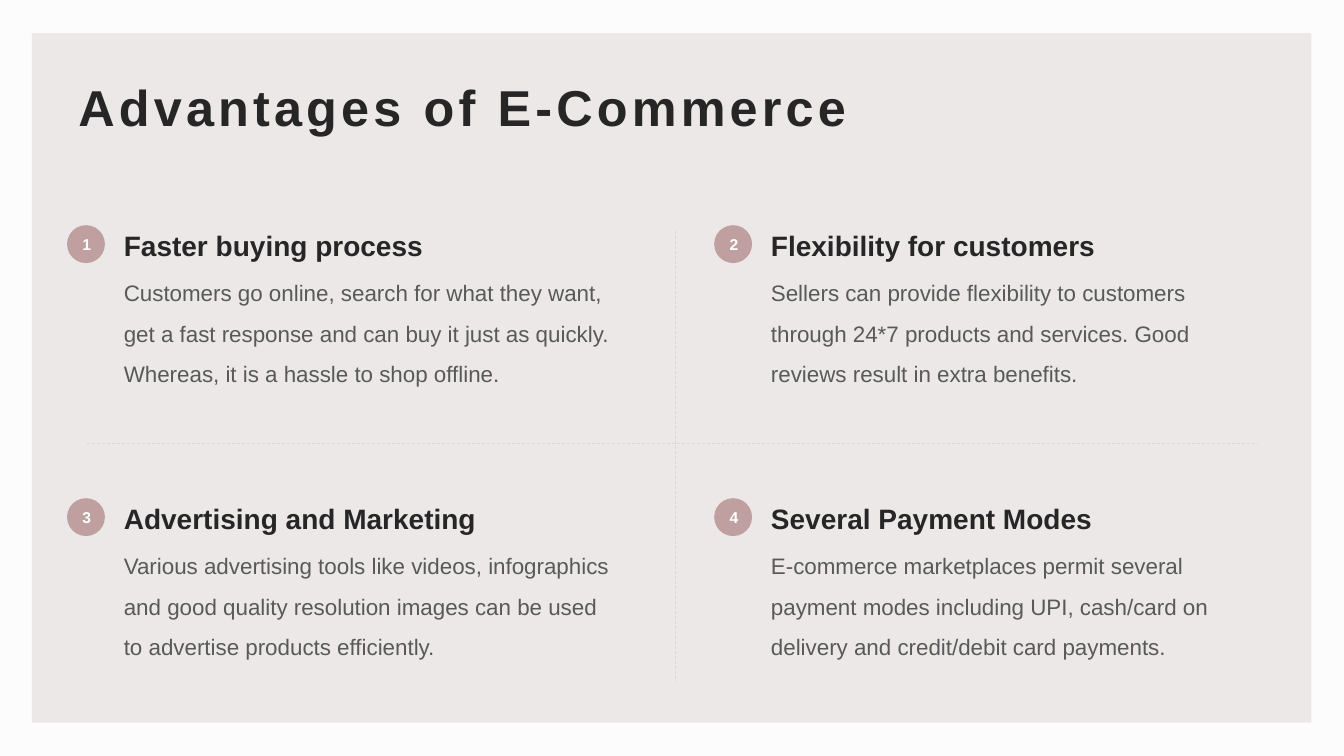
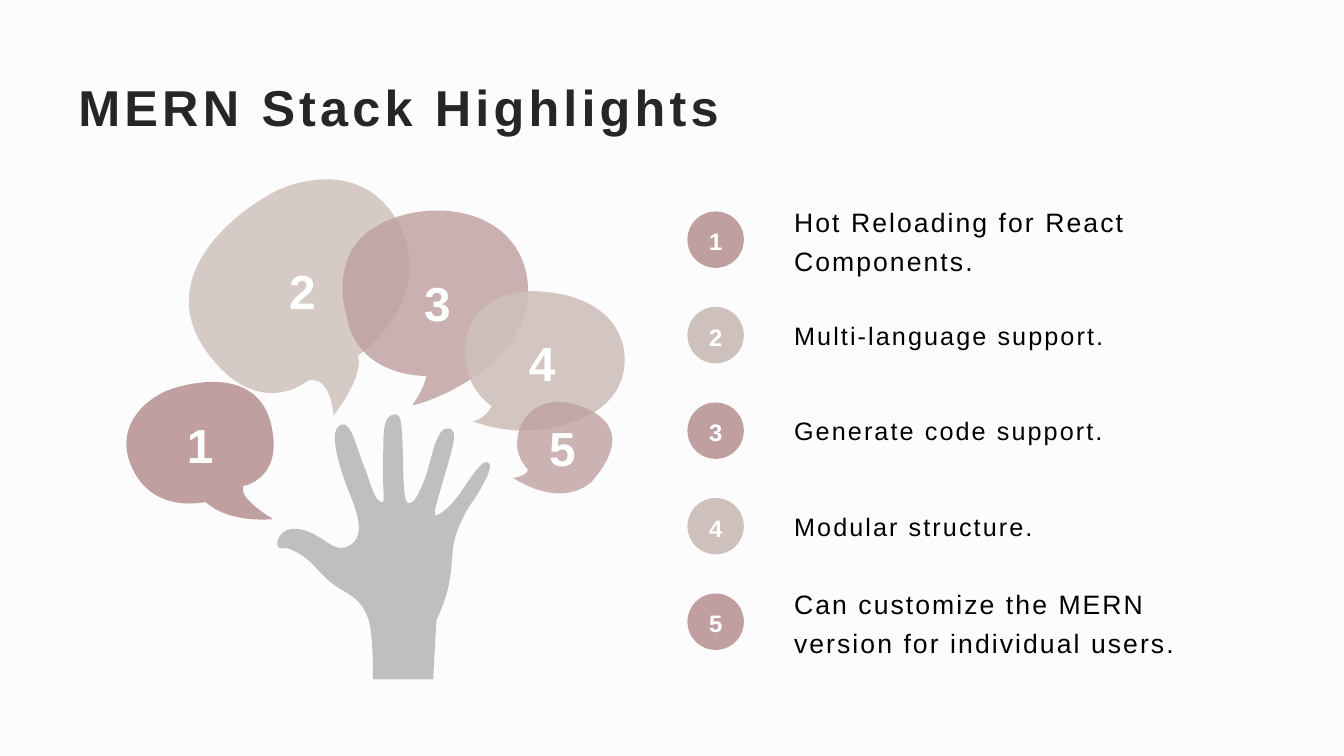
from pptx import Presentation
from pptx.dml.color import RGBColor
from pptx.enum.dml import MSO_LINE
from pptx.enum.shapes import MSO_CONNECTOR, MSO_SHAPE
from pptx.enum.text import MSO_ANCHOR, MSO_AUTO_SIZE, PP_ALIGN
from pptx.oxml.ns import qn
from pptx.oxml.xmlchemy import OxmlElement
from pptx.util import Pt

RECT, OVAL = MSO_SHAPE.RECTANGLE, MSO_SHAPE.OVAL
STRAIGHT, DASH = MSO_CONNECTOR.STRAIGHT, MSO_LINE.DASH
TOP, MIDDLE = MSO_ANCHOR.TOP, MSO_ANCHOR.MIDDLE
LEFT, CENTER = PP_ALIGN.LEFT, PP_ALIGN.CENTER

PX = 9144  # EMU in one px, 100 px to the inch
FONT = "Arial"
PAPER, PANEL, RULE = "FDFCFC", "ECE8E8", "D9D9D9"
ROSE, SAND, GREY = "BF9F9F", "CEC0BC", "BFBFBF"
INK, BODY, BLACK, WHITE = "262626", "595959", "000000", "FFFFFF"
TITLE_BOX = (66.7, 67, 1200, 77)

ADVANTAGES = [
    ("Faster buying process",
     "Customers go online, search for what they want, get a fast response "
     "and can buy it just as quickly. Whereas, it is a hassle to shop offline."),
    ("Flexibility for customers",
     "Sellers can provide flexibility to customers through 24*7 products "
     "and services. Good reviews result in extra benefits."),
    ("Advertising and Marketing",
     "Various advertising tools like videos, infographics and good quality "
     "resolution images can be used to advertise products efficiently."),
    ("Several Payment Modes",
     "E-commerce marketplaces permit several payment modes including UPI, "
     "cash/card on delivery and credit/debit card payments."),
]
DIVIDERS = [(86, 440, 1247, 440), (670, 229, 670, 676)]

# Text size and line spacing of highlights on one line and on two
ONE_LINE, TWO_LINES = (18, 1.1), (19, 1.2)
HIGHLIGHTS = [
    ("Hot Reloading for React Components.", TWO_LINES),
    ("Multi-language support.", ONE_LINE),
    ("Generate code support.", ONE_LINE),
    ("Modular structure.", ONE_LINE),
    ("Can customize the MERN version for individual users.", TWO_LINES),
]

# Outlines: a start point, then lines (x, y) and cubic curves (x1, y1, x2, y2, x, y)
HAND_BOX = (275, 411, 211, 263)
HAND = [
    (392, 411), (398, 411, 399, 419, 400, 459), (400, 486, 402, 499, 405, 499),
    (411, 500, 415, 491, 422, 474), (428, 456, 433, 423, 445, 425),
    (455, 427, 450, 441, 441, 472), (436, 490, 429, 511, 432, 511),
    (435, 512, 445, 505, 456, 490), (466, 476, 481, 450, 486, 461),
    (488, 467, 476, 487, 470, 496), (464, 504, 454, 521, 450, 540),
    (447, 559, 450, 581, 433, 615), (433, 615, 432, 635, 430, 669),
    (430, 674), (370, 674), (370, 665),
    (370, 665, 370, 625, 365, 613), (360, 600, 355, 594, 337, 584),
    (319, 573, 313, 560, 301, 552), (289, 544, 283, 543, 279, 544),
    (276, 546, 272, 538, 279, 530), (286, 522, 300, 523, 315, 532),
    (330, 541, 338, 550, 351, 538), (360, 529, 356, 512, 347, 490),
    (338, 468, 327, 433, 335, 424), (346, 412, 352, 438, 359, 457),
    (367, 476, 372, 501, 380, 498), (382, 497, 379, 476, 380, 456),
    (381, 435, 378, 412, 392, 411),
]
# Fill, opacity in percent, left and top of the number, box, outline
BUBBLES = [
    (ROSE, 100, (170.5, 407), (125, 379, 146, 136), [
        (242, 482), (242, 482, 232, 491, 271, 515), (271, 515, 228, 520, 204, 498),
        (204, 498, 155, 510, 133, 468), (110, 425, 144, 395, 170, 386),
        (197, 377, 256, 367, 269, 421), (282, 475, 242, 482, 242, 482)]),
    (SAND, 82, (272, 254.5), (187, 178, 219, 235), [
        (305, 378), (305, 378, 326, 368, 331, 412), (331, 412, 362, 373, 355, 353),
        (355, 353, 428, 302, 400, 232), (372, 162, 301, 172, 264, 195),
        (226, 217, 154, 278, 205, 349), (256, 419, 305, 378, 305, 378)]),
    (ROSE, 81, (406, 266.5), (340, 209, 184, 193), [
        (344, 314), (344, 314, 323, 251, 376, 223), (429, 194, 520, 207, 524, 286),
        (527, 365, 418, 402, 409, 402), (409, 402, 421, 386, 423, 373),
        (423, 373, 355, 375, 344, 314)]),
    (SAND, 90, (510, 326), (461, 289, 159, 138), [
        (567, 419), (567, 419, 604, 410, 616, 378), (628, 346, 614, 293, 533, 289),
        (451, 285, 443, 372, 488, 403), (488, 403, 481, 416, 469, 418),
        (470, 418, 516, 438, 567, 419)]),
    (ROSE, 78, (530, 410), (509, 398, 98, 91), [
        (524, 466), (524, 466, 506, 450, 516, 424), (526, 399, 552, 393, 579, 404),
        (606, 415, 623, 436, 587, 478), (554, 506, 509, 474, 509, 474),
        (509, 474, 522, 473, 524, 466)]),
]


def px(*lengths):
    return [round(v * PX) for v in lengths]


def rgb(value):
    return RGBColor.from_string(value)


def write(sp, text, size, color, bold=False, align=LEFT, anchor=TOP,
          spacing=None, before=None, tracking=0, insets=(10, 5, 10, 5)):
    """Fill a shape with one formatted paragraph; tracking is in points."""
    tf = sp.text_frame
    tf.word_wrap, tf.auto_size, tf.vertical_anchor = True, MSO_AUTO_SIZE.NONE, anchor
    tf.margin_left, tf.margin_top, tf.margin_right, tf.margin_bottom = px(*insets)
    p = tf.paragraphs[0]
    p.alignment = align
    if spacing:
        p.line_spacing = spacing
    if before:
        p.space_before = Pt(before)
    r = p.add_run()
    r.text = text
    r.font.name, r.font.size, r.font.bold = FONT, Pt(size), bold
    r.font.color.rgb = rgb(color)
    if tracking:
        r.font._element.set("spc", str(round(tracking * 100)))


def add_text(s, box, text, size, color, **style):
    write(s.shapes.add_textbox(*px(*box)), text, size, color, **style)


def paint(sp, color, opacity=100):
    sp.shadow.inherit = False
    sp.line.fill.background()
    sp.fill.solid()
    sp.fill.fore_color.rgb = rgb(color)
    if opacity < 100:
        alpha = OxmlElement("a:alpha")
        alpha.set("val", str(opacity * 1000))
        sp.element.spPr.find(".//" + qn("a:srgbClr")).append(alpha)


def add_shape(s, kind, box, color):
    sp = s.shapes.add_shape(kind, *px(*box))
    paint(sp, color)
    return sp


def add_badge(s, x, y, side, number, size, color, spacing=None):
    sp = add_shape(s, OVAL, (x, y, side, side), color)
    write(sp, str(number), size, WHITE, bold=True, align=CENTER, anchor=MIDDLE,
          spacing=spacing)


def add_divider(s, ends):
    line = s.shapes.add_connector(STRAIGHT, *px(*ends))
    line.line.color.rgb = rgb(RULE)
    line.line.width, line.line.dash_style = Pt(0.5), DASH
    line.element.spPr.append(OxmlElement("a:effectLst"))


def add_outline(s, box, outline, color, opacity=100):
    """Add a freeform as large as box, then draw the lines and curves in it."""
    left, top, width, height = box
    right, bottom = left + width, top + height
    builder = s.shapes.build_freeform(left, top, scale=PX)
    builder.add_line_segments([(right, top), (right, bottom), (left, bottom)])
    sp = builder.convert_to_shape()
    pen = sp.element.spPr.find(".//" + qn("a:path"))
    for command in list(pen):
        pen.remove(command)
    for i, segment in enumerate(outline):
        tag = "a:cubicBezTo" if len(segment) == 6 else "a:lnTo" if i else "a:moveTo"
        command = OxmlElement(tag)
        for x, y in zip(segment[::2], segment[1::2]):
            pt = OxmlElement("a:pt")
            pt.set("x", str(x - left))
            pt.set("y", str(y - top))
            command.append(pt)
        pen.append(command)
    pen.append(OxmlElement("a:close"))
    paint(sp, color, opacity)


def add_slide(prs, title):
    s = prs.slides.add_slide(prs.slide_layouts.get_by_name("Title Only"))
    sp = s.shapes.title
    sp.left, sp.top, sp.width, sp.height = px(*TITLE_BOX)
    write(sp, title, 36, INK, bold=True, anchor=MIDDLE, tracking=3,
          insets=(11, 4, 8, 4))
    return s


def build_advantages(prs):
    s = add_slide(prs, "Advantages of E-Commerce")
    panel = add_shape(s, RECT, (31.7, 33, 1269.4, 684), PANEL)
    s.shapes.title.element.addprevious(panel.element)
    for ends in DIVIDERS:
        add_divider(s, ends)
    for i, (heading, body) in enumerate(ADVANTAGES):
        row, col = divmod(i, 2)
        x, y = 113 + 642 * col, 222 + 270.8 * row
        add_text(s, (x, y + 37, 511, 154), body, 16, BODY, spacing=1.5, before=10)
        add_text(s, (x, y, 511, 44), heading, 20, INK, bold=True)
        add_badge(s, x - 46.5, y + 1.4, 37.6, i + 1, 11.2, ROSE)


def build_highlights(prs):
    s = add_slide(prs, "MERN Stack Highlights")
    add_outline(s, HAND_BOX, HAND, GREY)
    for i, (text, (size, spacing)) in enumerate(HIGHLIGHTS):
        y = 209.8 + 94.75 * i
        add_text(s, (778, y + 5, 430, 43), text, size, BLACK, anchor=MIDDLE,
                 spacing=spacing, tracking=1.5)
        add_badge(s, 682, y, 56, i + 1, 17, (ROSE, SAND)[i % 2], spacing=1.1)
    for color, opacity, _, box, outline in BUBBLES:
        add_outline(s, box, outline, color, opacity)
    for number, (_, _, corner, _, _) in enumerate(BUBBLES, 1):
        add_text(s, (*corner, 56, 67), str(number), 34.1, WHITE, bold=True,
                 align=CENTER, anchor=MIDDLE)


def main():
    prs = Presentation()
    prs.slide_width, prs.slide_height = px(1333.33, 750)
    fill = prs.slide_master.background.fill
    fill.solid()
    fill.fore_color.rgb = rgb(PAPER)
    build_advantages(prs)
    build_highlights(prs)
    prs.save("out.pptx")


if __name__ == "__main__":
    main()
